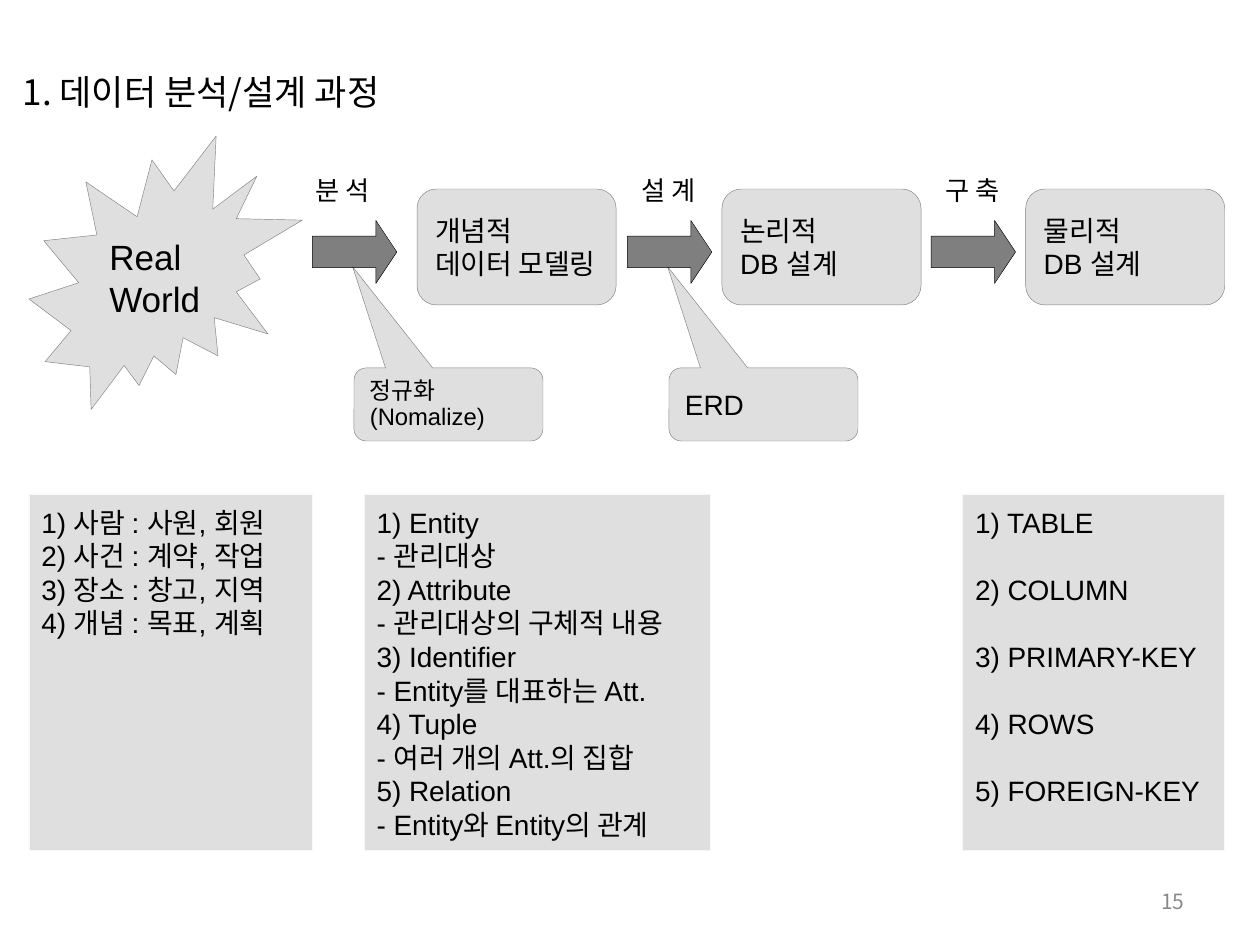
from lxml import etree
from pptx import Presentation
from pptx import util as u
from pptx.dml.color import RGBColor
from pptx.enum import shapes, text
from pptx.oxml.ns import qn

KINDS = shapes.MSO_SHAPE
KOREAN_FONT = "Noto Sans CJK KR"
FRAME = {
    "auto_size": text.MSO_AUTO_SIZE.NONE,
    "margin_left": u.Inches(0.1),
    "margin_right": u.Inches(0.1),
    "margin_top": u.Inches(0.05),
    "margin_bottom": u.Inches(0.05),
}
LIST_PARA = {"line_spacing": u.Pt(19.2)}
SPACED_PARA = {"line_spacing": u.Pt(19.2), "space_after": u.Pt(19.2)}


def apply(target, values):
    for name, value in values.items():
        setattr(target, name, value)


def color(hex_code):
    return RGBColor.from_string(hex_code)


def inches(box):
    return [u.Inches(length) for length in box]


def write(shape, lines, size, font="Arial", ink="000000", wrap=False,
          anchor=text.MSO_ANCHOR.MIDDLE, frame_format={}, para_format={}):
    frame = shape.text_frame
    apply(frame, {**FRAME, "word_wrap": wrap, "vertical_anchor": anchor, **frame_format})
    for index, line in enumerate(lines):
        para = frame.add_paragraph() if index else frame.paragraphs[0]
        apply(para, {"alignment": text.PP_ALIGN.LEFT, **para_format})
        span = para.add_run()
        span.text = line
        apply(span.font, {"name": font, "size": u.Pt(size)})
        span.font.color.rgb = color(ink)
        east_asian = etree.SubElement(span.font._element, qn("a:ea"))
        east_asian.set("typeface", KOREAN_FONT)


def add_text(page, box, lines, size, **style):
    write(page.shapes.add_textbox(*inches(box)), lines, size, **style)


def add_panel(page, kind, box, fill="C0C0C0", line="808080", adjustments=()):
    shape = page.shapes.add_shape(kind, *inches(box))
    shape.shadow.inherit = False
    shape.fill.solid()
    shape.fill.fore_color.rgb = color(fill)
    solid = shape._element.spPr.find(qn("a:solidFill"))
    etree.SubElement(solid[0], qn("a:alpha")).set("val", "50000")
    shape.line.color.rgb = color(line)
    shape.line.width = u.Pt(0.25)
    for index, value in enumerate(adjustments):
        shape.adjustments[index] = value
    return shape


def add_heading(page, box, words):
    title = page.shapes.title
    apply(title, dict(zip(("left", "top", "width", "height"), inches(box))))
    write(title, [words], 20, font=KOREAN_FONT, wrap=True, anchor=text.MSO_ANCHOR.TOP)


def add_source_world(page, box):
    burst = add_panel(page, KINDS.EXPLOSION2, box)
    write(burst, ["Real", "World"], 20)


def add_list(page, box, items, para_format=LIST_PARA):
    panel = add_panel(page, KINDS.RECTANGLE, box, line="F8F8F8")
    write(panel, items, 16, anchor=text.MSO_ANCHOR.TOP, para_format=para_format,
          frame_format={"margin_top": u.Inches(0.09)})


def add_callout(page, box, lines, size, para_format={}):
    callout = add_panel(page, KINDS.ROUNDED_RECTANGULAR_CALLOUT, box,
                        adjustments=(-0.507, -1.884, 0.167))
    write(callout, lines, size, wrap=True, para_format=para_format)


def add_stage(page, box, arrow_left, label_left, label, lines):
    left, top, width, height = box
    stage = add_panel(page, KINDS.FLOWCHART_ALTERNATE_PROCESS, box)
    write(stage, lines, 16)
    add_panel(page, KINDS.RIGHT_ARROW, (arrow_left, top + 0.25, 0.67, 0.5),
              fill="000000", line="000000", adjustments=(0.5, 0.333))
    add_text(page, (label_left, top - 0.17, 0.64, 0.35), [label], 15,
             anchor=text.MSO_ANCHOR.TOP)


def main():
    deck = Presentation()
    apply(deck, {"slide_width": u.Inches(10), "slide_height": u.Inches(7.5)})
    page = deck.slides.add_slide(deck.slide_layouts[5])

    add_heading(page, (0.08, 0.51, 3.64, 0.44), "1. 데이터 분석/설계 과정")
    add_source_world(page, (0.23, 1.08, 2.17, 2.17))
    add_callout(page, (2.81, 2.92, 1.5, 0.58), ["정규화", "(Nomalize)"], 13.6,
                {"line_spacing": 0.9})
    add_callout(page, (5.31, 2.92, 1.5, 0.58), ["ERD"], 16)

    stages = [
        (3.31, 2.48, 2.41, "분 석", ["개념적", "데이터 모델링"]),
        (5.73, 4.98, 4.99, "설 계", ["논리적", "DB 설계"]),
        (8.14, 7.39, 7.41, "구 축", ["물리적", "DB 설계"]),
    ]
    for left, *details in stages:
        add_stage(page, (left, 1.5, 1.58, 0.92), *details)

    lists = [
        (0.23, 2.25, LIST_PARA, [
            "1) 사람 : 사원, 회원", "2) 사건 : 계약, 작업",
            "3) 장소 : 창고, 지역", "4) 개념 : 목표, 계획"]),
        (2.89, 2.75, LIST_PARA, [
            "1) Entity", "- 관리대상",
            "2) Attribute", "- 관리대상의 구체적 내용",
            "3) Identifier", "- Entity를 대표하는 Att.",
            "4) Tuple", "- 여러 개의 Att.의 집합",
            "5) Relation", "- Entity와 Entity의 관계"]),
        (7.64, 2.08, SPACED_PARA, [
            "1) TABLE", "2) COLUMN", "3) PRIMARY-KEY", "4) ROWS", "5) FOREIGN-KEY"]),
    ]
    for left, width, para_format, items in lists:
        add_list(page, (left, 3.92, width, 2.83), items, para_format)

    add_text(page, (7.17, 6.95, 2.33, 0.4), ["15"], 12, font=KOREAN_FONT, ink="898989",
             wrap=True, para_format={"alignment": text.PP_ALIGN.RIGHT})
    deck.save("out.pptx")


if __name__ == "__main__":
    main()
